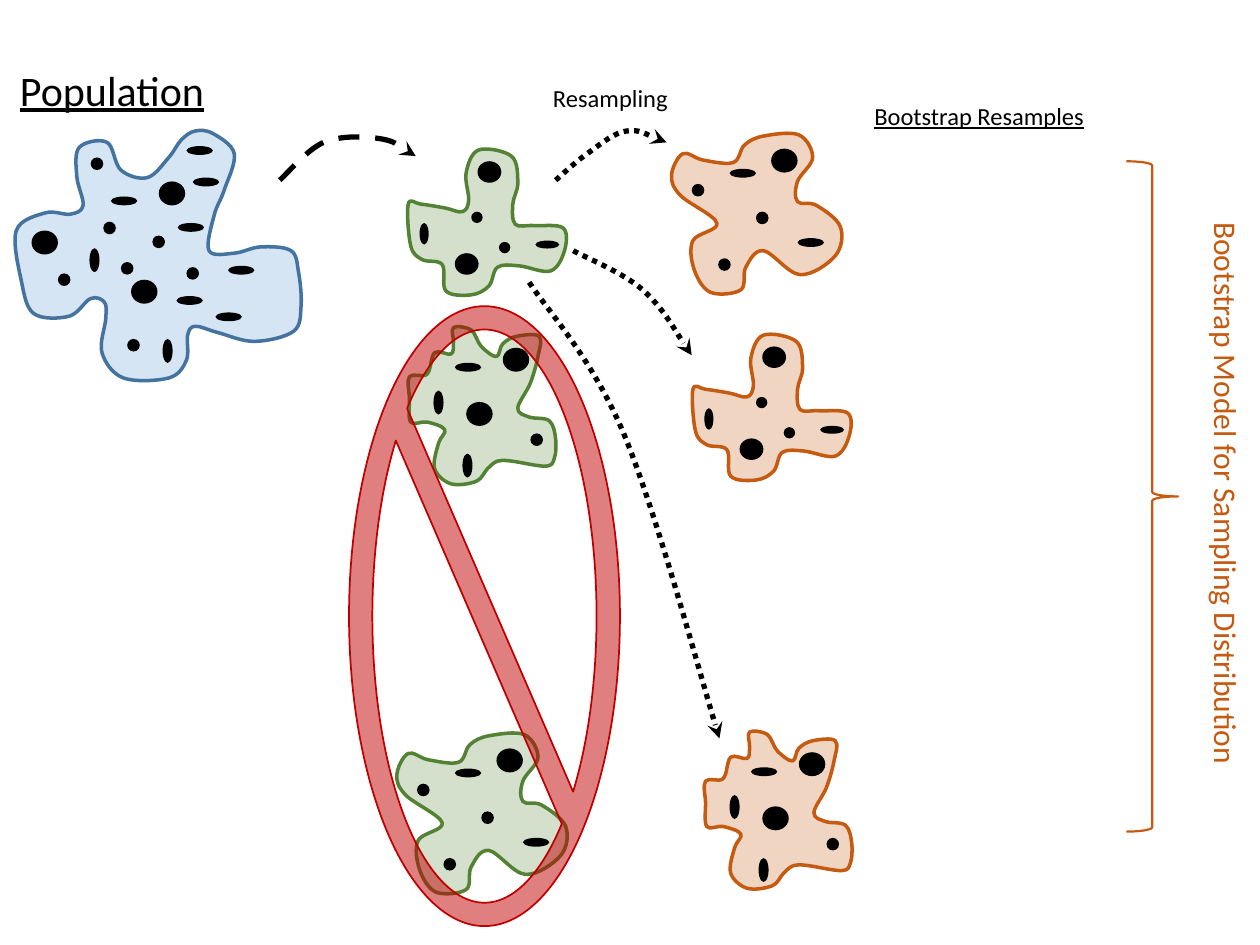
from dataclasses import dataclass

from lxml.etree import SubElement
from pptx import Presentation
from pptx.dml.color import RGBColor
from pptx.enum.dml import MSO_LINE
from pptx.enum.shapes import MSO_SHAPE
from pptx.enum.text import MSO_AUTO_SIZE
from pptx.oxml.ns import qn
from pptx.util import Inches, Pt


@dataclass(frozen=True)
class Theme:
    font: str = "Calibri"
    black: str = "000000"
    population: str = "5B9BD5"
    population_edge: str = "43739E"
    sample: str = "548235"
    resample: str = "C55A11"
    ban: str = "C00000"
    heading: int = 24
    model: int = 18
    label: int = 14


T = Theme()

# Outlines and dots are inches from the top left corner of each blob
DOT_SIZES = {"small": (0.1, 0.1), "big": (0.21, 0.19),
             "tall": (0.08, 0.19), "wide": (0.21, 0.07)}

POPULATION = dict(
    scale=1,
    outline=[(.24, .66), (.44, .67), (.54, .60), (.49, .37), (.51, .14), (.73, .10),
             (.84, .32), (1.05, .38), (1.22, .22), (1.32, .08), (1.43, .01), (1.57, .03),
             (1.74, .19), (1.66, .48), (1.58, .68), (1.54, .96), (1.74, .98), (1.95, .93),
             (2.19, .96), (2.25, 1.13), (2.27, 1.40), (2.21, 1.60), (1.90, 1.68),
             (1.61, 1.61), (1.43, 1.56), (1.37, 1.63), (1.36, 1.83), (1.22, 1.97),
             (.86, 1.97), (.69, 1.77), (.72, 1.50), (.71, 1.37), (.60, 1.34),
             (.43, 1.48), (.15, 1.46), (.05, 1.20), (.01, .80)],
    small=[(.60, .22), (1.36, 1.09), (.84, 1.05), (1.09, .84), (.70, .73), (.89, 1.66),
           (.34, 1.14)],
    big=[(.13, .80), (.92, 1.19), (1.14, .41)],
    tall=[(.59, .94), (1.17, 1.66)],
    wide=[(1.69, 1.08), (1.59, 1.45), (1.36, .13), (.76, .53), (1.29, .74), (1.28, 1.32),
          (1.41, .38)])

CROSS = dict(
    scale=0.9,
    outline=[(.11, .43), (.30, .46), (.44, .49), (.49, .40), (.47, .18), (.57, 0),
             (.83, .05), (.88, .26), (.84, .43), (.86, .59), (1.01, .60), (1.24, .62),
             (1.25, .80), (1.14, .96), (.89, .92), (.72, .93), (.65, 1.08), (.51, 1.15),
             (.31, 1.12), (.28, .91), (.12, .87), (.03, .76), (.01, .43)],
    small=[(.73, .73), (.51, .49)],
    big=[(.38, .82), (.56, .09)],
    tall=[(.10, .58)],
    wide=[(1.02, .72)])

JAGGED = dict(
    scale=1,
    outline=[(.21, .20), (.34, .21), (.36, .12), (.36, 0), (.50, .02), (.58, .15),
             (.70, .23), (.75, .13), (.86, .07), (1.04, .07), (1.03, .23), (.97, .44),
             (.87, .64), (.96, .71), (1.12, .74), (1.17, .88), (1.16, 1.04), (1.09, 1.10),
             (.82, 1.06), (.71, 1.06), (.63, 1.12), (.54, 1.22), (.34, 1.24), (.21, 1.12),
             (.24, .92), (.29, .81), (.15, .75), (.02, .75), (.01, .56), (.01, .39),
             (.15, .37)],
    small=[(.97, .84)],
    big=[(.46, .59), (.75, .16)],
    tall=[(.20, .50), (.43, 1.0)],
    wide=[(.37, .28)])

ROUNDED = dict(
    scale=1,
    outline=[(.07, .49), (0, .33), (.09, .16), (.25, .21), (.49, .23), (.58, .09),
             (.73, .02), (1.01, .01), (1.12, .19), (1.0, .38), (1.0, .54), (1.15, .57),
             (1.34, .74), (1.30, .97), (1.02, 1.12), (.73, .93), (.59, 1.06), (.55, 1.24),
             (.31, 1.26), (.18, 1.08), (.17, .85), (.36, .71)],
    small=[(.67, .62), (.37, .99), (.16, .40)],
    big=[(.79, .12)],
    tall=[],
    wide=[(.46, .28), (1.0, .83)])


def paint(sp, fill=None, line=None, width=1, alpha=None):
    sp.shadow.inherit = False
    if fill:
        sp.fill.solid()
        sp.fill.fore_color.rgb = RGBColor.from_string(fill)
        if alpha:
            clr = sp._element.spPr.find(qn("a:solidFill")).find(qn("a:srgbClr"))
            SubElement(clr, qn("a:alpha"), val=str(alpha * 1000))
    else:
        sp.fill.background()
    if line:
        sp.line.color.rgb = RGBColor.from_string(line)
        sp.line.width = Pt(width)
    else:
        sp.line.fill.background()


def add_curve(shapes, points, closed):
    """Draw a smooth spline through points, turning straight steps into Béziers."""
    pts = [(Inches(x), Inches(y)) for x, y in points]
    fb = shapes.build_freeform(*pts[0])
    fb.add_line_segments(pts[1:], close=closed)
    sp = fb.convert_to_shape()

    geometry = next(sp._element.iter(qn("a:path")))
    pts = [(int(pt.get("x")), int(pt.get("y"))) for pt in geometry.iter(qn("a:pt"))]
    n = len(pts)
    for step in geometry.findall(qn("a:lnTo")):
        geometry.remove(step)

    def at(i):
        return pts[i % n if closed else min(max(i, 0), n - 1)]

    for i in range(n if closed else n - 1):
        before, start, end, after = (at(i + k) for k in (-1, 0, 1, 2))
        c1 = [s + (e - b) / 6 for b, s, e in zip(before, start, end)]
        c2 = [e - (a - s) / 6 for s, e, a in zip(start, end, after)]
        bezier = geometry.makeelement(qn("a:cubicBezTo"))
        for x, y in (c1, c2, end):
            SubElement(bezier, qn("a:pt"), x=str(round(x)), y=str(round(y)))
        geometry.insert(i + 1, bezier)
    return sp


def add_blob(s, left, top, blob, fill, edge):
    shapes = s.shapes.add_group_shape().shapes
    body = add_curve(shapes, [(left + x, top + y) for x, y in blob["outline"]], True)
    paint(body, fill, edge, 2, alpha=25)
    for kind, size in DOT_SIZES.items():
        w, h = (Inches(side * blob["scale"]) for side in size)
        for x, y in blob[kind]:
            dot = shapes.add_shape(MSO_SHAPE.OVAL, Inches(left + x), Inches(top + y), w, h)
            paint(dot, T.black)


def add_arrow(s, points, dash):
    sp = add_curve(s.shapes, points, False)
    paint(sp, line=T.black, width=3)
    sp.line.dash_style = dash
    SubElement(sp.line._get_or_add_ln(), qn("a:tailEnd"), type="stealth")


def add_label(s, box, text, size, color=T.black, underline=None, rotation=0):
    tb = s.shapes.add_textbox(*map(Inches, box))
    tb.rotation = rotation
    tf = tb.text_frame
    tf.word_wrap = False
    tf.auto_size = MSO_AUTO_SIZE.SHAPE_TO_FIT_TEXT
    p = tf.paragraphs[0]
    p.text = text
    p.font.name, p.font.size, p.font.underline = T.font, Pt(size), underline
    p.font.color.rgb = RGBColor.from_string(color)


def add_preset(s, kind, box):
    return s.shapes.add_shape(kind, *map(Inches, box))


def population(s):
    add_blob(s, 0.12, 1.03, POPULATION, T.population, T.population_edge)
    add_label(s, (0.06, 0.46, 1.68, 0.5), "Population", T.heading, underline=True)


def samples(s):
    for left, top, blob in ((3.23, 1.19, CROSS), (3.24, 2.6, JAGGED), (3.15, 5.82, ROUNDED)):
        add_blob(s, left, top, blob, T.sample, T.sample)
    add_arrow(s, [(2.22, 1.43), (2.57, 1.13), (3.01, 1.1), (3.3, 1.24)], MSO_LINE.DASH)
    # Only the first sample is really available
    sign = add_preset(s, MSO_SHAPE.NO_SYMBOL, (2.77, 2.43, 2.15, 4.92))
    sign.adjustments[0] = 0.086
    paint(sign, T.ban, T.ban, 1, alpha=50)


def resamples(s):
    for left, top, blob in ((5.49, 2.66, CROSS), (5.59, 5.81, JAGGED), (5.33, 1.06, ROUNDED)):
        add_blob(s, left, top, blob, T.resample, T.resample)
    for points in ([(4.41, 1.43), (4.66, 1.22), (4.97, 1.04), (5.29, 1.13)],
                   [(4.55, 1.99), (5.1, 2.3), (5.49, 2.82)],
                   [(4.2, 2.24), (4.95, 3.44), (5.71, 5.86)]):
        add_arrow(s, points, MSO_LINE.ROUND_DOT)
    add_label(s, (4.29, 0.61, 1.12, 0.34), "Resampling", T.label)


def model(s):
    brace = add_preset(s, MSO_SHAPE.RIGHT_BRACE, (8.94, 1.28, 0.41, 5.32))
    paint(brace, line=T.resample, width=1.25)
    add_label(s, (7.46, 3.74, 4.55, 0.4), "Bootstrap Model for Sampling Distribution",
              T.model, T.resample, rotation=90)
    add_label(s, (6.84, 0.75, 1.88, 0.34), "Bootstrap Resamples", T.label, underline=True)


def main():
    prs = Presentation()
    prs.slide_width, prs.slide_height = Inches(10), Inches(7.5)
    s = prs.slides.add_slide(prs.slide_layouts[6])
    for region in (population, samples, resamples, model):
        region(s)
    prs.save("out.pptx")


if __name__ == "__main__":
    main()
